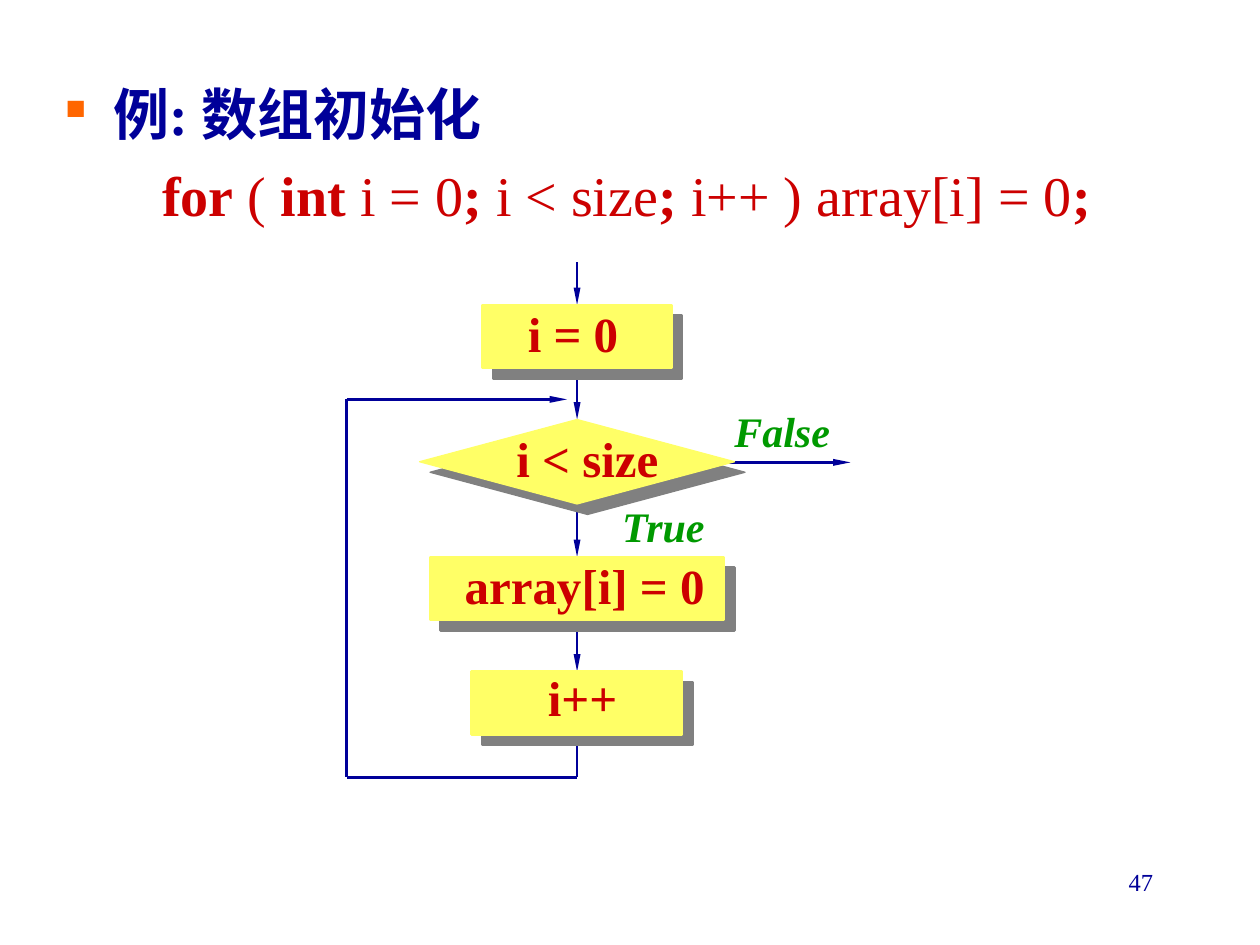
"""Builds a slide with the flowchart of a for loop that initialises an array."""
from lxml.etree import SubElement
from pptx import Presentation
from pptx.dml.color import RGBColor
from pptx.enum.shapes import MSO_CONNECTOR, MSO_SHAPE
from pptx.enum.text import MSO_AUTO_SIZE, PP_ALIGN
from pptx.oxml import parse_xml
from pptx.oxml.ns import nsdecls, qn
from pptx.util import Inches, Pt

NAVY, RED, GREEN, YELLOW = "000099", "CC0000", "009900", "FFFF66"
SHADOW = (
    f'<a:effectLst {nsdecls("a")}><a:outerShdw dist="107950" dir="2700000" algn="ctr" '
    'rotWithShape="0"><a:srgbClr val="808080"/></a:outerShdw></a:effectLst>'
)


def color(value):
    return RGBColor.from_string(value)


def add_span(para, text, size, shade, **formats):
    span = para.add_run()
    span.text = text
    span.font.color.rgb = color(shade)
    for name, value in {"name": "Times New Roman", "size": Pt(size), **formats}.items():
        setattr(span.font, name, value)


deck = Presentation()
deck.slide_width, deck.slide_height = Inches(10), Inches(7.5)
page = deck.slides.add_slide(deck.slide_layouts[6])

center, loop_left, loop_top, loop_bottom = 4.58, 2.75, 3.17, 6.17
lines = [
    (5.75, 3.67, 6.75, 3.67, True),
    (center, 4, center, 4.42, True),
    (center, 2.08, center, 2.42, True),
    (center, 3, center, 3.33, True),
    (center, 5, center, 5.33, True),
    (center, 5.92, center, loop_bottom, False),
    (loop_left, loop_top, 4.5, loop_top, True),
    (loop_left, loop_top, loop_left, loop_bottom, False),
    (center, loop_bottom, loop_left, loop_bottom, False),
]
for *ends, arrow in lines:
    line = page.shapes.add_connector(MSO_CONNECTOR.STRAIGHT, *map(Inches, ends))
    line.line.color.rgb = color(NAVY)
    line.line.width = Pt(1.5)
    if arrow:
        outline = line.line._get_or_add_ln()
        SubElement(outline, qn("a:tailEnd"), type="triangle", w="sm", len="lg")
    SubElement(line._element.spPr, qn("a:effectLst"))

steps = [
    (MSO_SHAPE.RECTANGLE, 2.42, 1.5, 0.5, 1.5),
    (MSO_SHAPE.DIAMOND, 3.33, 2.5, 0.67, 0.75),
    (MSO_SHAPE.RECTANGLE, 4.42, 2.33, 0.5, 1.5),
    (MSO_SHAPE.RECTANGLE, 5.33, 1.67, 0.5, 1.5),
]
for kind, top, width, height, border in steps:
    step = page.shapes.add_shape(
        kind, Inches(center - width / 2), Inches(top), Inches(width), Inches(height)
    )
    step.fill.solid()
    step.fill.fore_color.rgb = color(YELLOW)
    step.line.color.rgb = color(YELLOW)
    step.line.width = Pt(border)
    step._element.spPr.append(parse_xml(SHADOW))

labels = [
    ("i = 0", 4.09, 2.36, 0.91, 0.57, 28, RED, False),
    ("i < size", 4, 3.35, 1.32, 0.57, 28, RED, False),
    ("array[i] = 0", 3.59, 4.36, 2.1, 0.57, 28, RED, False),
    ("i++", 4.25, 5.25, 0.75, 0.57, 28, RED, False),
    ("True", 4.84, 3.92, 0.86, 0.5, 24, GREEN, True),
    ("False", 5.73, 3.17, 0.96, 0.5, 24, GREEN, True),
]
for text, left, top, width, height, size, shade, italic in labels:
    box = page.shapes.add_textbox(*map(Inches, (left, top, width, height)))
    box.text_frame.word_wrap = False
    box.text_frame.auto_size = MSO_AUTO_SIZE.SHAPE_TO_FIT_TEXT
    box.text_frame.margin_right = Inches(0.05)
    add_span(box.text_frame.paragraphs[0], text, size, shade, bold=True, italic=italic)

body = page.shapes.add_textbox(Inches(0.42), Inches(0.58), Inches(8.5), Inches(1.33))
body.text_frame.word_wrap = True
heading = body.text_frame.paragraphs[0]
code = body.text_frame.add_paragraph()
for para, margin, indent in [(heading, 0.38, -0.38), (code, 0.77, 0)]:
    para.space_before = Pt(8)
    props = para._p.get_or_add_pPr()
    props.set("marL", str(Inches(margin)))
    props.set("indent", str(Inches(indent)))
bullet = heading._p.get_or_add_pPr()
SubElement(SubElement(bullet, qn("a:buClr")), qn("a:srgbClr"), val="FF6600")
SubElement(bullet, qn("a:buSzPct"), val="50000")
SubElement(bullet, qn("a:buChar"), char="■")
add_span(heading, "例: 数组初始化", 32, NAVY, bold=True)
code_parts = ["for", " (", " int ", "i = 0", "; ", "i < size", ";", " i++ ) array[i] = 0", ";"]
for index, part in enumerate(code_parts):
    add_span(code, part, 32, RED, bold=index % 2 == 0)

number = page.shapes.add_textbox(Inches(7.17), Inches(6.83), Inches(2.08), Inches(0.5))
number.text_frame.word_wrap = True
number_para = number.text_frame.paragraphs[0]
number_para.alignment = PP_ALIGN.RIGHT
add_span(number_para, "47", 14, NAVY)

deck.save("out.pptx")
